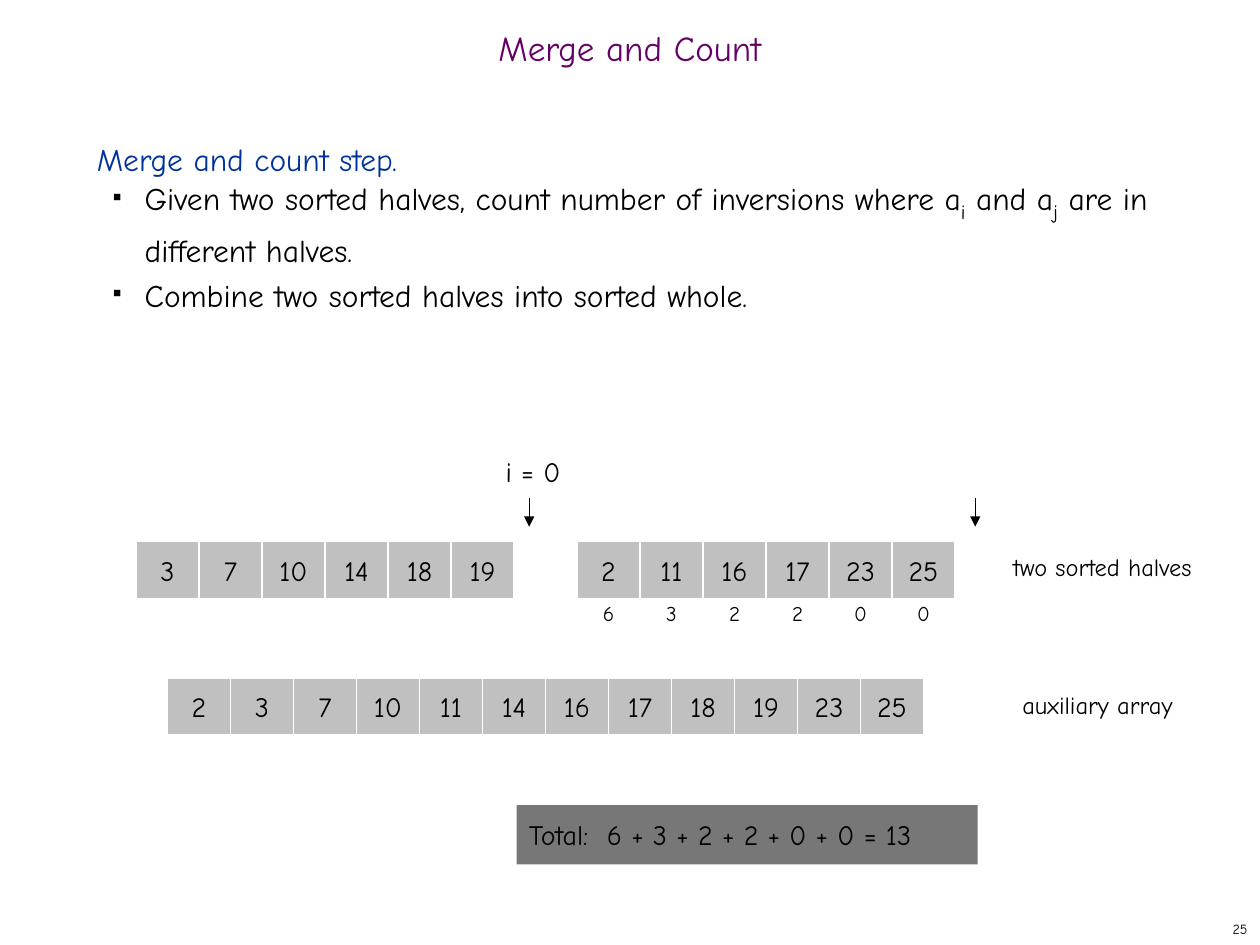
from lxml.etree import SubElement
from pptx import Presentation
from pptx.dml.color import RGBColor
from pptx.enum.shapes import MSO_CONNECTOR, MSO_SHAPE
from pptx.enum.text import MSO_ANCHOR, PP_ALIGN
from pptx.oxml.ns import qn
from pptx.util import Inches, Pt

FONT = "Comic Neue"
COLORS = {"ink": "000000", "title": "660066", "head": "003399",
          "cell": "C0C0C0", "edge": "FFFFFF", "total": "777777"}
CELL = 0.5


def color(name):
    """Return the named colour."""
    return RGBColor.from_string(COLORS[name])


def add_run(para, text, size, ink="ink", base=0):
    """Add one styled run, lowered by base percent if given."""
    run = para.add_run()
    run.text = text
    run.font.name = FONT
    run.font.size = Pt(size)
    run.font.color.rgb = color(ink)
    if base:
        run.font._element.set("baseline", str(base * 1000))


def add_label(slide, box, text, size, ink="ink",
              align=PP_ALIGN.CENTER, anchor=MSO_ANCHOR.TOP):
    """Add a one-line text box and return its paragraph."""
    frame = slide.shapes.add_textbox(*map(Inches, box)).text_frame
    frame.word_wrap = True
    frame.vertical_anchor = anchor
    para = frame.paragraphs[0]
    para.alignment = align
    add_run(para, text, size, ink)
    return para


def add_block(slide, box, fill, text, align):
    """Add a filled rectangle with text and return it."""
    shape = slide.shapes.add_shape(MSO_SHAPE.RECTANGLE, *map(Inches, box))
    shape.shadow.inherit = False
    shape.fill.solid()
    shape.fill.fore_color.rgb = color(fill)
    para = shape.text_frame.paragraphs[0]
    para.alignment = align
    add_run(para, text, 16)
    return shape


def add_row(slide, left, top, values):
    """Add an array as a row of cells."""
    for i, value in enumerate(values):
        box = (left + i * CELL, top, CELL, 0.45)
        cell = add_block(slide, box, "cell", str(value), PP_ALIGN.CENTER)
        cell.line.color.rgb = color("edge")
        cell.line.width = Pt(0.75)
        cell.text_frame.word_wrap = False
        cell.text_frame.vertical_anchor = MSO_ANCHOR.MIDDLE


def add_counts(slide, left, top, values):
    """Add the inversion counts below a row."""
    for i, value in enumerate(values):
        add_label(slide, (left + i * CELL, top, 0.3, 0.3), str(value), 12)


def add_arrow(slide, left, top, drop):
    """Add an arrow that points down."""
    line = slide.shapes.add_connector(
        MSO_CONNECTOR.STRAIGHT, Inches(left), Inches(top),
        Inches(left), Inches(top + drop))
    line.line.color.rgb = color("ink")
    line.line.width = Pt(0.75)
    SubElement(line.line._get_or_add_ln(), qn("a:tailEnd"), type="triangle")
    SubElement(line._element.spPr, qn("a:effectLst"))


def add_bullet(para):
    """Give a paragraph a small square bullet and a hanging indent."""
    props = para._p.get_or_add_pPr()
    props.set("marL", str(Inches(0.38)))
    props.set("indent", str(Inches(-0.25)))
    tint = SubElement(props, qn("a:buClr"))
    SubElement(tint, qn("a:srgbClr"), val=COLORS["ink"])
    SubElement(props, qn("a:buSzPct"), val="35000")
    SubElement(props, qn("a:buChar"), char="■")


def add_body(slide, box):
    """Add the heading and the bullets of the step."""
    head = add_label(slide, box, "Merge and count step.", 18, "head",
                     PP_ALIGN.LEFT)
    head.line_spacing = Pt(26)
    frame = slide.shapes[-1].text_frame
    points = [
        [("Given two sorted halves, count number of inversions where a", 0),
         ("i", -25), (" and a", 0), ("j", -25),
         (" are in different halves.", 0)],
        [("Combine two sorted halves into sorted whole.", 0)],
    ]
    for parts in points:
        para = frame.add_paragraph()
        para.level = 1
        para.line_spacing = Pt(26)
        add_bullet(para)
        for text, base in parts:
            add_run(para, text, 20 if base else 18, base=base)


def add_halves(slide, left, top):
    """Add the two sorted halves with pointers, counts and label."""
    low, high = [3, 7, 10, 14, 18, 19], [2, 11, 16, 17, 23, 25]
    add_row(slide, left, top, low)
    add_row(slide, left + 3.5, top, high)
    add_counts(slide, left + 3.6, top + 0.42, [6, 3, 2, 2, 0, 0])
    for shift in (3.12, 6.66):
        add_arrow(slide, left + shift, top - 0.35, 0.23)
    add_label(slide, (left + 2.11, top - 0.74, 2.08, 0.37), "i = 0", 16)
    add_label(slide, (left + 6.6, top + 0.03, 2.14, 0.34),
              "two sorted halves", 14)
    return sorted(low + high)


def add_merged(slide, left, top, values):
    """Add the auxiliary array with its label."""
    add_row(slide, left, top, values)
    add_label(slide, (left + 6.34, top + 0.05, 2.08, 0.34),
              "auxiliary array", 14)


def add_total(slide, box):
    """Add the bar with the total count."""
    bar = add_block(slide, box, "total",
                    "Total:  6 + 3 + 2 + 2 + 0 + 0 = 13", PP_ALIGN.LEFT)
    bar.line.fill.background()
    frame = bar.text_frame
    frame.word_wrap = True
    frame.vertical_anchor = MSO_ANCHOR.TOP
    frame.margin_top = frame.margin_bottom = Inches(0.1)


def main():
    """Build the slide and save it."""
    deck = Presentation()
    deck.slide_width, deck.slide_height = Inches(10), Inches(7.5)
    slide = deck.slides.add_slide(deck.slide_layouts[6])
    title = add_label(slide, (0, 0.17, 10, 0.5), "Merge and Count", 20,
                      "title", anchor=MSO_ANCHOR.MIDDLE)
    title.line_spacing = 0.7
    add_body(slide, (0.67, 1, 8.58, 5.92))
    merged = add_halves(slide, 1.08, 4.3)
    add_merged(slide, 1.33, 5.38, merged)
    add_total(slide, (4.1, 6.39, 3.66, 0.47))
    add_label(slide, (7.92, 7.25, 2.08, 0.25), "25", 8,
              align=PP_ALIGN.RIGHT, anchor=MSO_ANCHOR.MIDDLE)
    deck.save("out.pptx")


if __name__ == "__main__":
    main()
